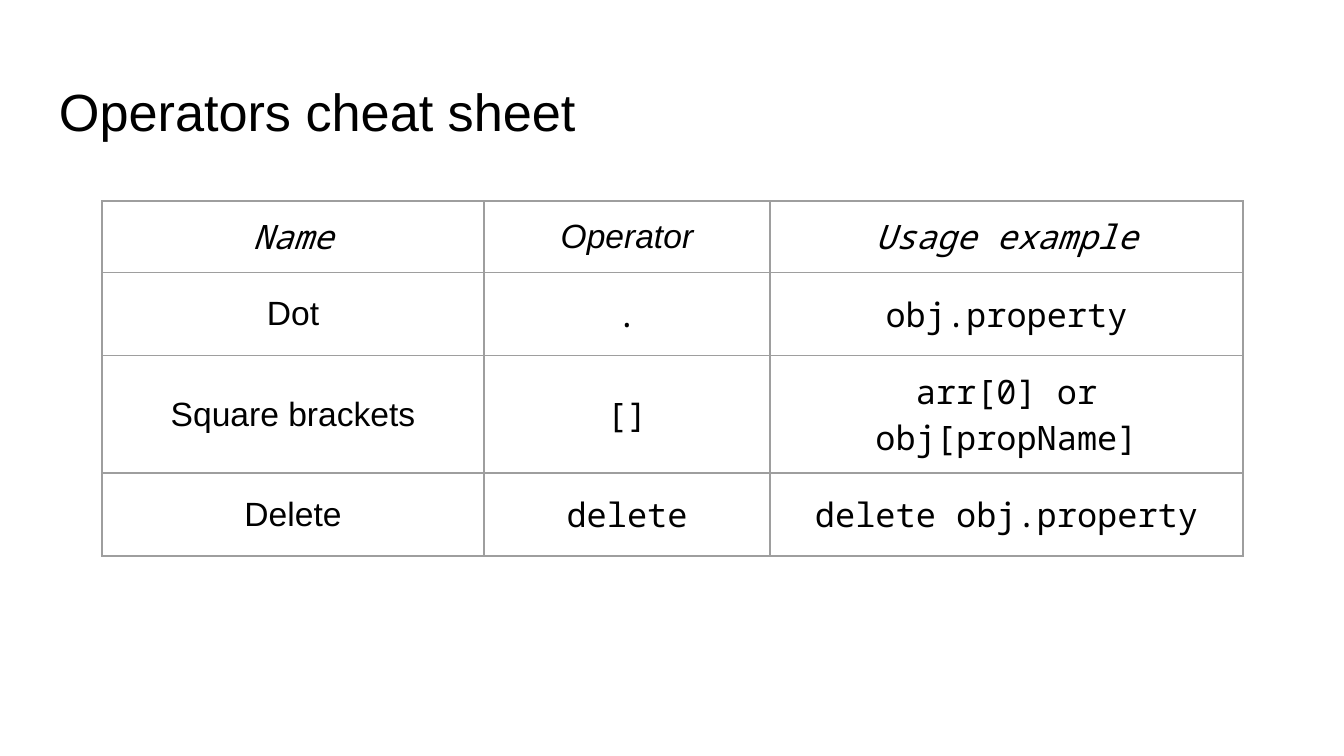
from lxml import etree
from pptx import Presentation
from pptx.dml.color import RGBColor
from pptx.enum.text import MSO_ANCHOR, MSO_AUTO_SIZE, PP_ALIGN
from pptx.oxml.ns import qn
from pptx.util import Pt

CENTER, LEFT = PP_ALIGN.CENTER, PP_ALIGN.LEFT
MIDDLE, TOP = MSO_ANCHOR.MIDDLE, MSO_ANCHOR.TOP
NO_AUTOFIT = MSO_AUTO_SIZE.NONE

PX_PER_INCH = 134.4
COLORS = {"text": "000000", "border": "9E9E9E"}
SANS, MONO = "Arial", "Noto Sans Mono"
INSET = 13

COLUMN_WIDTHS = [382, 286, 473]
ROW_HEIGHTS = [52, 83, 83, 83]
HEADER = ["Name", "Operator", "Usage example"]
HEADER_FONTS = [MONO, SANS, MONO]
OPERATORS = [
    ["Dot", ".", "obj.property"],
    ["Square brackets", "[]", "arr[0] or obj[propName]"],
    ["Delete", "delete", "delete obj.property"],
]
OPERATOR_FONTS = [SANS, MONO, MONO]


def px(length):
    return round(length * 914400 / PX_PER_INCH)


def style_paragraph(paragraph, font_name, size, align, italic=False):
    paragraph.alignment = align
    font = paragraph.font
    font.name, font.size, font.italic = font_name, Pt(size), italic
    font.color.rgb = RGBColor.from_string(COLORS["text"])


def set_insets(holder):
    holder.margin_left = holder.margin_right = px(INSET)
    holder.margin_top = holder.margin_bottom = px(INSET)


def add_borders(cell):
    properties = cell._tc.get_or_add_tcPr()
    for side in ("a:lnL", "a:lnR", "a:lnT", "a:lnB"):
        line = etree.SubElement(properties, qn(side), w=str(Pt(0.75)))
        fill = etree.SubElement(line, qn("a:solidFill"))
        etree.SubElement(fill, qn("a:srgbClr"), val=COLORS["border"])


def add_title(slide, left, top, width, height):
    title = slide.shapes.title
    title.left, title.top = px(left), px(top)
    title.width, title.height = px(width), px(height)
    frame = title.text_frame
    frame.text = "Operators cheat sheet"
    frame.auto_size, frame.vertical_anchor = NO_AUTOFIT, TOP
    set_insets(frame)
    style_paragraph(frame.paragraphs[0], SANS, 28, LEFT)


def add_operator_table(slide, left, top):
    rows = [HEADER] + OPERATORS
    table = slide.shapes.add_table(
        len(rows), len(HEADER), px(left), px(top),
        px(sum(COLUMN_WIDTHS)), px(sum(ROW_HEIGHTS))).table
    table.first_row = table.horz_banding = False
    for column, width in zip(table.columns, COLUMN_WIDTHS):
        column.width = px(width)

    for r, (texts, height) in enumerate(zip(rows, ROW_HEIGHTS)):
        table.rows[r].height = px(height)
        is_header = r == 0
        fonts = HEADER_FONTS if is_header else OPERATOR_FONTS
        for c, (text, font_name) in enumerate(zip(texts, fonts)):
            cell = table.cell(r, c)
            cell.text = text
            cell.vertical_anchor = MIDDLE
            set_insets(cell)
            add_borders(cell)
            cell.fill.background()
            style_paragraph(cell.text_frame.paragraphs[0], font_name, 18,
                            CENTER, italic=is_header)


def main():
    prs = Presentation()
    prs.slide_width, prs.slide_height = px(1344), px(756)
    slide = prs.slides.add_slide(prs.slide_layouts.get_by_name("Title Only"))
    # Heading
    add_title(slide, 46, 66, 1253, 84)
    # Operators with their usage
    add_operator_table(slide, 102, 201)
    prs.save("out.pptx")


if __name__ == "__main__":
    main()
